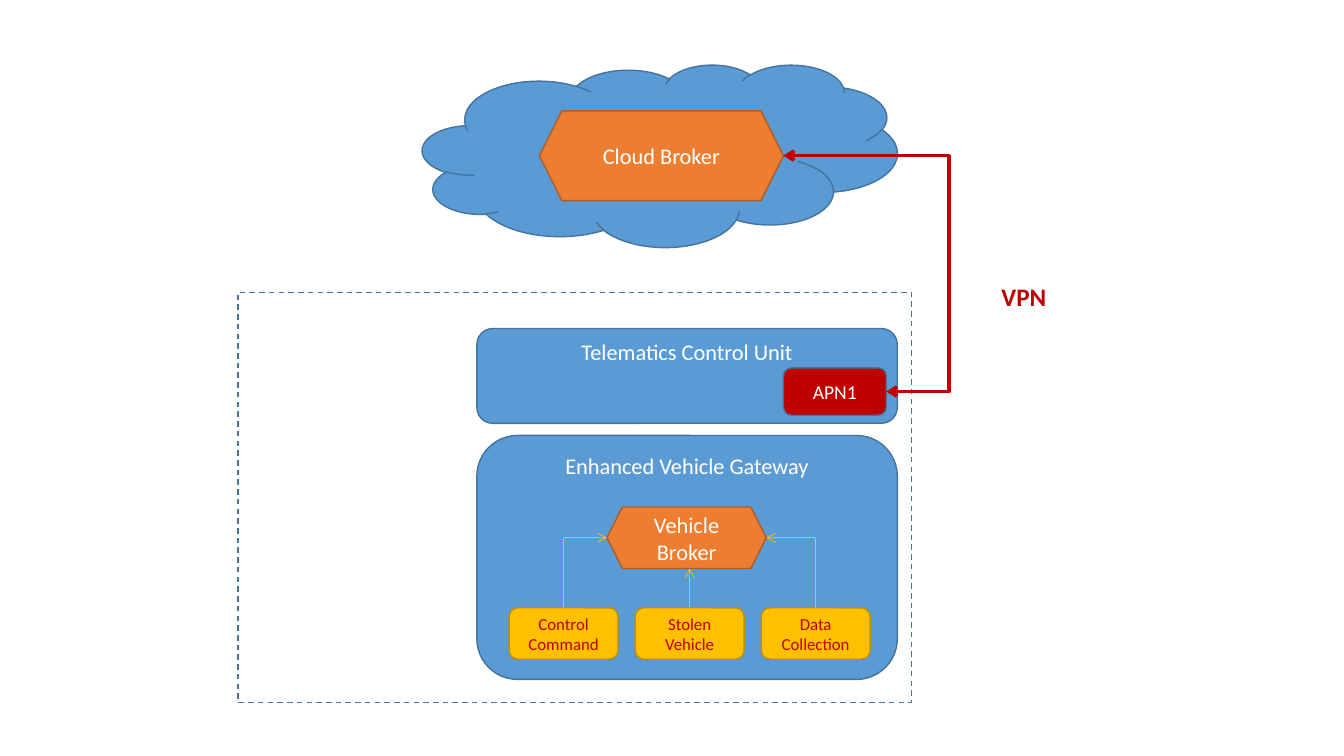
from lxml import etree
from pptx import Presentation
from pptx.dml.color import RGBColor
from pptx.enum.dml import MSO_LINE
from pptx.enum.shapes import MSO_CONNECTOR, MSO_SHAPE
from pptx.enum.text import MSO_ANCHOR, MSO_AUTO_SIZE, PP_ALIGN
from pptx.oxml.ns import qn
from pptx.util import Inches, Pt

CLOUD, HEXAGON = MSO_SHAPE.CLOUD, MSO_SHAPE.HEXAGON
RECT, ROUNDED = MSO_SHAPE.RECTANGLE, MSO_SHAPE.ROUNDED_RECTANGLE
TOP, MIDDLE = MSO_ANCHOR.TOP, MSO_ANCHOR.MIDDLE
STRAIGHT, ELBOW = MSO_CONNECTOR.STRAIGHT, MSO_CONNECTOR.ELBOW

FONT = "Calibri"
WHITE, RED, AMBER = "FFFFFF", "C00000", "FFC000"

# Look of each kind of part: preset, fill, outline, text size, colour, anchor
STYLES = {
    "cloud": (CLOUD, "5B9BD5", "43739E", 16, WHITE, MIDDLE),
    "vehicle": (RECT, None, "43739E", 16, WHITE, MIDDLE),
    "unit": (ROUNDED, "5B9BD5", "43739E", 16, WHITE, TOP),
    "broker": (HEXAGON, "ED7D31", "AF5C24", 16, WHITE, MIDDLE),
    "access": (ROUNDED, RED, "43739E", 14, WHITE, MIDDLE),
    "app": (ROUNDED, AMBER, "BD8E00", 12, RED, MIDDLE),
}

UNIT_LEFT, UNIT_WIDTH = 4.73, 4.17
APP_LEFT, APP_TOP, APP_WIDTH, APP_HEIGHT, APP_PITCH = 5.05, 6.03, 1.08, 0.51, 1.25
VPN_X = 9.41

# Style, wording, (left, top, width, height) in inches, back to front
CLOUD_BROKER = ("broker", "Cloud Broker", (5.35, 1.1, 2.42, 0.89))
VEHICLE_BROKER = ("broker", "Vehicle Broker", (6.02, 5.03, 1.58, 0.61))
APN = ("access", "APN1", (7.77, 3.65, 1.02, 0.47))
PARTS = [
    ("cloud", "", (4.19, 0.64, 4.71, 1.81)),
    CLOUD_BROKER,
    ("vehicle", "", (2.36, 2.9, 6.68, 4.07)),
    ("unit", "Enhanced Vehicle Gateway", (UNIT_LEFT, 4.32, UNIT_WIDTH, 2.42)),
    VEHICLE_BROKER,
    ("unit", "Telematics Control Unit", (UNIT_LEFT, 3.26, UNIT_WIDTH, 0.94)),
    APN,
]
APPS = [
    ("app", label, (APP_LEFT + i * APP_PITCH, APP_TOP, APP_WIDTH, APP_HEIGHT))
    for i, label in enumerate(["Control Command", "Stolen Vehicle", "Data Collection"])
]
VPN_LABEL = ("VPN", (9.75, 2.74, 0.81, 0.4))


def rgb(hex_code):
    """Turn a hex string into a colour."""
    return RGBColor.from_string(hex_code)


def write(target, label, size, color, anchor, bold=False):
    """Put one centred line of wording into a shape or text box."""
    frame = target.text_frame
    frame.word_wrap, frame.vertical_anchor = True, anchor
    paragraph = frame.paragraphs[0]
    paragraph.alignment = PP_ALIGN.CENTER
    run = paragraph.add_run()
    run.text = label
    look = {"name": FONT, "size": Pt(size), "bold": bold}
    for key, value in look.items():
        setattr(run.font, key, value)
    run.font.color.rgb = rgb(color)


def add_part(slide, style, label, box):
    """Draw one part of the system in its style."""
    preset, fill, outline, size, color, anchor = STYLES[style]
    part = slide.shapes.add_shape(preset, *map(Inches, box))
    part.shadow.inherit = False
    if fill:
        part.fill.solid()
        part.fill.fore_color.rgb = rgb(fill)
    else:
        part.fill.background()
        part.line.dash_style = MSO_LINE.DASH
    part.line.color.rgb = rgb(outline)
    part.line.width = Pt(1)
    if label:
        write(part, label, size, color, anchor)


def side(part, across, down):
    """Point on a part, given as shares of its width and height."""
    left, top, width, height = part[2]
    return left + across * width, top + down * height


def add_arrow(slide, start, end, color, width, heads, kind=STRAIGHT, preset=None, bend=None):
    """Draw an arrow; preset and bend set the route of an elbow."""
    arrow = slide.shapes.add_connector(kind, *map(Inches, (*start, *end)))
    arrow.line.color.rgb = rgb(color)
    arrow.line.width = Pt(width)
    properties = arrow._element.spPr
    for head in heads:
        etree.SubElement(properties.find(qn("a:ln")), qn("a:" + head), type="arrow")
    etree.SubElement(properties, qn("a:effectLst"))
    geometry = properties.find(qn("a:prstGeom"))
    if preset:
        geometry.set("prst", preset)
    if bend is not None:
        guides = geometry.find(qn("a:avLst"))
        formula = f"val {round(bend * 100000)}"
        etree.SubElement(guides, qn("a:gd"), name="adj1", fmla=formula)


deck = Presentation()
deck.slide_width, deck.slide_height = Inches(13.33), Inches(7.5)
slide = deck.slides.add_slide(deck.slide_layouts[6])

for part in PARTS + APPS:
    add_part(slide, *part)

# Each app reports to the vehicle broker; the outer two turn one corner
control, stolen, data = APPS
for app, across in ((control, 0), (data, 1)):
    add_arrow(slide, side(VEHICLE_BROKER, across, 0.5), side(app, 0.5, 0),
              AMBER, 0.5, ["headEnd"], ELBOW, "bentConnector2")
add_arrow(slide, side(stolen, 0.5, 0), (side(stolen, 0.5, 0)[0], side(VEHICLE_BROKER, 0, 1)[1]),
          AMBER, 0.5, ["tailEnd"])

# The VPN leaves to the right of both its ends
apn_end, cloud_end = side(APN, 1, 0.5), side(CLOUD_BROKER, 1, 0.5)
bend = (VPN_X - apn_end[0]) / (cloud_end[0] - apn_end[0])
add_arrow(slide, apn_end, cloud_end, RED, 2.5, ["headEnd", "tailEnd"], ELBOW, bend=bend)

vpn_label, vpn_box = VPN_LABEL
vpn = slide.shapes.add_textbox(*map(Inches, vpn_box))
write(vpn, vpn_label, 18, RED, TOP, bold=True)
vpn.text_frame.auto_size = MSO_AUTO_SIZE.SHAPE_TO_FIT_TEXT

deck.save("out.pptx")
